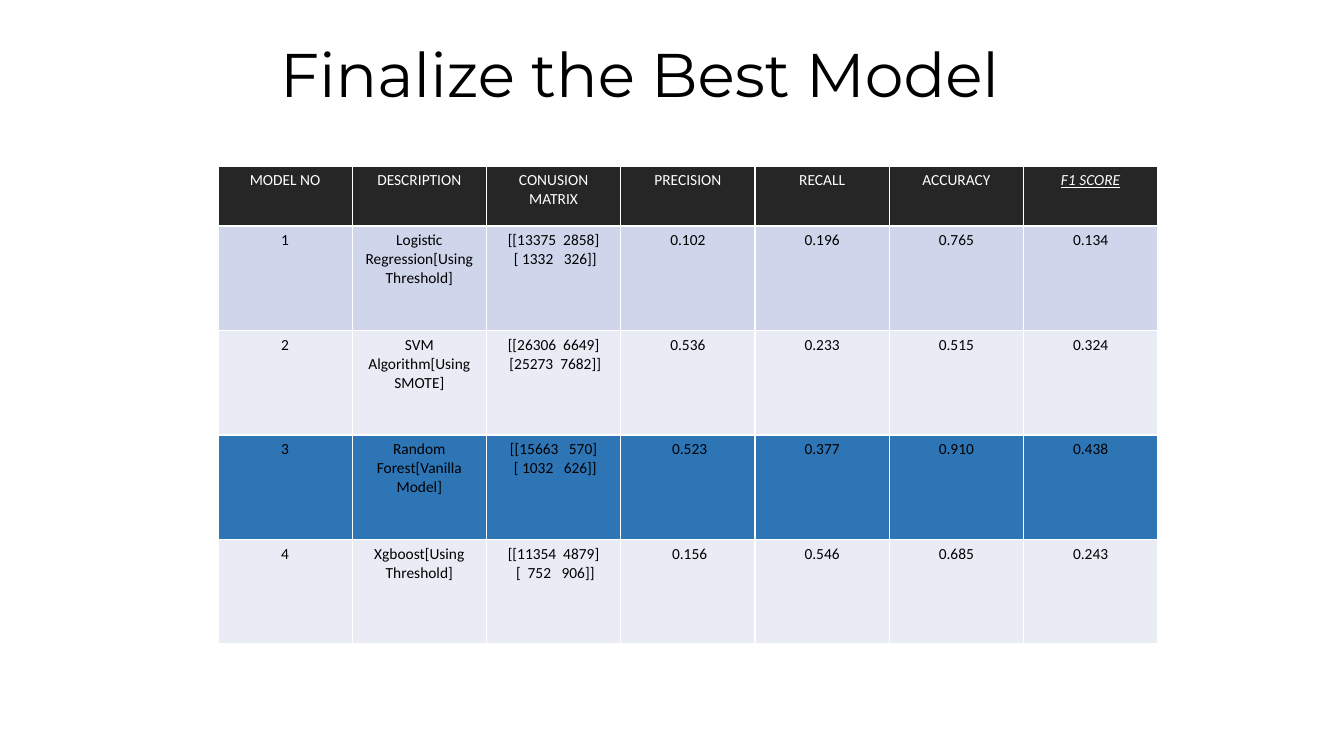
from pptx import Presentation
from pptx.dml.color import RGBColor as RGB
from pptx.enum.text import MSO_ANCHOR as Anchor, MSO_AUTO_SIZE as AutoSize, PP_ALIGN as Align
from pptx.util import Pt

THEME = {
    "title_font": "Montserrat", "title_size": 44,
    "table_font": "Calibri", "table_size": 11,
    "text": "000000", "header_text": "FFFFFF", "header": "262626",
    "band": "CFD5EA", "light": "E9EBF5", "best": "2E75B6",
}
HEADER_HEIGHT, BODY_HEIGHT = 60, 418
HEADINGS = ["MODEL NO", "DESCRIPTION", "CONUSION MATRIX", "PRECISION",
            "RECALL", "ACCURACY", "F1 SCORE"]
MODELS = [
    ("band", ["1", "Logistic Regression[Using Threshold]",
              "[[13375  2858]\n [ 1332   326]]", "0.102", "0.196", "0.765", "0.134"]),
    ("light", ["2", "SVM Algorithm[Using SMOTE]",
               "[[26306  6649]\n [25273  7682]]", "0.536", "0.233", "0.515", "0.324"]),
    ("best", ["3", "Random Forest[Vanilla Model]",
              "[[15663   570]\n [ 1032   626]]", " 0.523", "0.377", "0.910", "0.438"]),
    ("light", ["4", "Xgboost[Using Threshold]",
               "[[11354  4879]\n [  752   906]]", " 0.156", "0.546", "0.685", "0.243"]),
]


def px(length):
    return round(length * 914400 / 100.8)


def write(frame, text, font="table_font", size="table_size", color="text",
          align=Align.CENTER, spacing=None, emphasis=False):
    """Fill a text frame, one paragraph per line; emphasis is italic underline."""
    frame.text = text
    for paragraph in frame.paragraphs:
        paragraph.alignment = align
        paragraph.line_spacing = spacing
        for run in paragraph.runs:
            run.font.name = THEME[font]
            run.font.size = Pt(THEME[size])
            run.font.color.rgb = RGB.from_string(THEME[color])
            run.font.bold = False
            run.font.italic = run.font.underline = emphasis


deck = Presentation()
deck.slide_width, deck.slide_height = px(1344), px(756)
slide = deck.slides.add_slide(deck.slide_layouts[5])

title = slide.shapes.title
title.left, title.top, title.width, title.height = px(270), px(39), px(857), px(177)
write(title.text_frame, "Finalize the Best Model", font="title_font",
      size="title_size", align=Align.LEFT, spacing=0.9)
title.text_frame.vertical_anchor = Anchor.TOP
title.text_frame.auto_size = AutoSize.NONE

scores = slide.shapes.add_table(
    len(MODELS) + 1, len(HEADINGS), px(218), px(166), px(940),
    px(HEADER_HEIGHT + BODY_HEIGHT)).table

for row_no, (fill, values) in enumerate([("header", HEADINGS), *MODELS]):
    is_header = row_no == 0
    scores.rows[row_no].height = (
        px(HEADER_HEIGHT) if is_header else px(BODY_HEIGHT) // len(MODELS))
    for column_no, value in enumerate(values):
        cell = scores.cell(row_no, column_no)
        cell.fill.solid()
        cell.fill.fore_color.rgb = RGB.from_string(THEME[fill])
        write(cell.text_frame, value,
              color="header_text" if is_header else "text",
              emphasis=value == "F1 SCORE")

deck.save("out.pptx")
